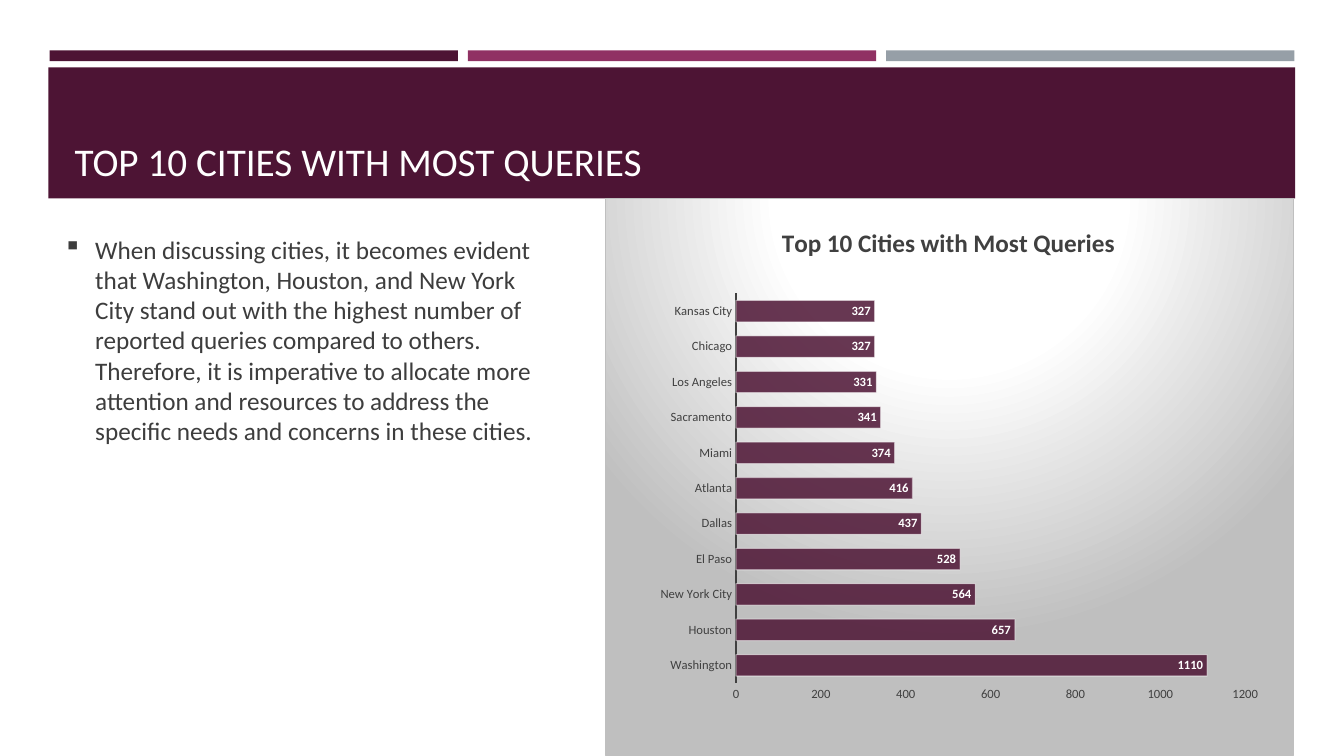
"""Builds a slide with a ranked bar chart of cities by number of queries."""
from lxml import etree
from pptx import Presentation
from pptx.chart.data import CategoryChartData
from pptx.dml.color import RGBColor
from pptx.enum.chart import XL_CHART_TYPE, XL_LABEL_POSITION, XL_TICK_MARK
from pptx.enum.shapes import MSO_SHAPE
from pptx.enum.text import MSO_ANCHOR
from pptx.oxml import parse_xml
from pptx.oxml.ns import qn
from pptx.util import Cm, Pt

RECT = MSO_SHAPE.RECTANGLE
BAR = XL_CHART_TYPE.BAR_CLUSTERED
IN_END = XL_LABEL_POSITION.INSIDE_END
NO_TICK = XL_TICK_MARK.NONE
BOTTOM, TOP = MSO_ANCHOR.BOTTOM, MSO_ANCHOR.TOP
NS = ('xmlns:a="http://schemas.openxmlformats.org/drawingml/2006/main" '
      'xmlns:c="http://schemas.openxmlformats.org/drawingml/2006/chart"')
PLUM, ROSE, STEEL = "4D1434", "903163", "969FA7"
WHITE, INK, GREY = "FFFFFF", "3D3D3D", "404040"
CITIES = {
    "Washington": 1110, "Houston": 657, "New York City": 564, "El Paso": 528,
    "Dallas": 437, "Atlanta": 416, "Miami": 374, "Sacramento": 341,
    "Los Angeles": 331, "Chicago": 327, "Kansas City": 327,
}
NOTE = ("When discussing cities, it becomes evident that Washington, Houston, and "
        "New York City stand out with the highest number of reported queries "
        "compared to others. Therefore, it is imperative to allocate more attention "
        "and resources to address the specific needs and concerns in these cities.")
BACK = f"""<c:spPr {NS}><a:gradFill><a:gsLst>
<a:gs pos="0"><a:srgbClr val="FFFFFF"/></a:gs>
<a:gs pos="39000"><a:srgbClr val="FFFFFF"/></a:gs>
<a:gs pos="100000"><a:srgbClr val="BFBFBF"/></a:gs></a:gsLst>
<a:path path="circle"><a:fillToRect l="50000" t="-80000" r="50000" b="180000"/></a:path>
</a:gradFill><a:ln w="9525"><a:solidFill><a:srgbClr val="BFBFBF"/></a:solidFill></a:ln>
</c:spPr>"""


def rgb(code):
    """Turn a hex string into a colour."""
    return RGBColor.from_string(code)


def fade(fill, share):
    """Make a solid fill partly clear."""
    tint = fill._xPr.find(f".//{qn('a:srgbClr')}")
    etree.SubElement(tint, qn("a:alpha"), val=str(share * 1000))


def place(part, spot, **sides):
    """Give a chart part a fixed layout."""
    for old in part.findall(qn("c:layout")):
        part.remove(old)
    inner = '<c:layoutTarget val="inner"/>' if "w" in sides else ""
    modes = "".join(f'<c:{k}Mode val="edge"/>' for k in "xy")
    vals = "".join(f'<c:{k} val="{v}"/>' for k, v in sides.items())
    part.insert(spot, parse_xml(
        f"<c:layout {NS}><c:manualLayout>{inner}{modes}{vals}"
        "</c:manualLayout></c:layout>"))


class Deck:
    """Holds the style and the current slide."""

    def __init__(self, face):
        """Open a wide deck with one blank slide."""
        self.face = face
        self.prs = Presentation()
        self.prs.slide_width, self.prs.slide_height = Cm(33.87), Cm(19.05)
        self.slide = self.prs.slides.add_slide(self.prs.slide_layouts[6])

    def style(self, font, size, color, bold=False):
        """Set the face, size, colour and weight of a font."""
        font.name, font.size, font.bold = self.face, Pt(size), bold
        font.color.rgb = rgb(color)

    def block(self, box, color):
        """Add a plain filled rectangle."""
        shape = self.slide.shapes.add_shape(RECT, *map(Cm, box))
        shape.shadow.inherit = False
        shape.fill.solid()
        shape.fill.fore_color.rgb = rgb(color)
        shape.line.fill.background()

    def text(self, box, words, size, color, anchor=TOP, bullet=None):
        """Add a wrapped paragraph, with a bullet if given."""
        frame = self.slide.shapes.add_textbox(*map(Cm, box)).text_frame
        frame.word_wrap, frame.vertical_anchor = True, anchor
        para = frame.paragraphs[0]
        para.text = words
        self.style(para.font, size, color)
        if bullet:
            props = para._p.get_or_add_pPr()
            props.set("marL", str(Cm(0.8)))
            props.set("indent", str(-Cm(0.8)))
            props.insert(0, parse_xml(f'<a:buChar {NS} char="{bullet}"/>'))

    def bars(self, box, head, values):
        """Add a bar chart on a shaded ground."""
        data = CategoryChartData()
        data.categories = list(values)
        data.add_series("Series 1", list(values.values()))
        chart = self.slide.shapes.add_chart(BAR, *map(Cm, box), data).chart
        chart.has_legend = False
        self.style(chart.font, 10, "000000")
        chart._chartSpace.find(qn("c:chart")).addnext(parse_xml(BACK))

        chart.has_title = True
        title = chart.chart_title
        title.text_frame.text = head
        self.style(title.text_frame.paragraphs[0].font, 18, GREY, True)
        title.include_in_layout = False
        place(title._element, 1, x=0.25, y=0.04)
        area = chart._chartSpace.find(f".//{qn('c:plotArea')}")
        place(area, 0, x=0.19, y=0.17, w=0.74, h=0.7)

        for axis in (chart.category_axis, chart.value_axis):
            axis.has_major_gridlines = False
            axis.major_tick_mark = axis.minor_tick_mark = NO_TICK
            self.style(axis.tick_labels.font, 9, GREY)
        line = chart.category_axis.format.line
        line.color.rgb, line.width = rgb(GREY), Pt(1.5)
        scale = chart.value_axis
        scale.format.line.fill.background()
        scale.minimum_scale, scale.maximum_scale, scale.major_unit = 0, 1200, 200

        plot = chart.plots[0]
        plot.gap_width, plot.vary_by_categories = 65, False
        look = plot.series[0].format
        look.fill.solid()
        look.fill.fore_color.rgb = rgb(PLUM)
        fade(look.fill, 85)
        look.line.color.rgb, look.line.width = rgb(WHITE), Pt(0.75)
        fade(look.line.fill, 50)
        tags = plot.series[0].data_labels
        tags.show_value, tags.position = True, IN_END
        self.style(tags.font, 9, WHITE, True)


def main():
    """Build and save the slide."""
    deck = Deck("Calibri")
    for i, color in enumerate((PLUM, ROSE, STEEL)):
        deck.block((1.25 + i * 10.54, 1.27, 10.29, 0.27), color)
    deck.block((1.22, 1.7, 31.42, 3.3), PLUM)
    deck.text((1.63, 1.96, 30.63, 2.82), "TOP 10 CITIES WITH MOST QUERIES",
              28, WHITE, BOTTOM)
    deck.bars((15.24, 5, 17.37, 14.05), "Top 10 Cities with Most Queries", CITIES)
    deck.text((1.35, 5.77, 12.57, 5.64), NOTE, 18, INK, bullet="▪")
    deck.prs.save("out.pptx")


if __name__ == "__main__":
    main()
